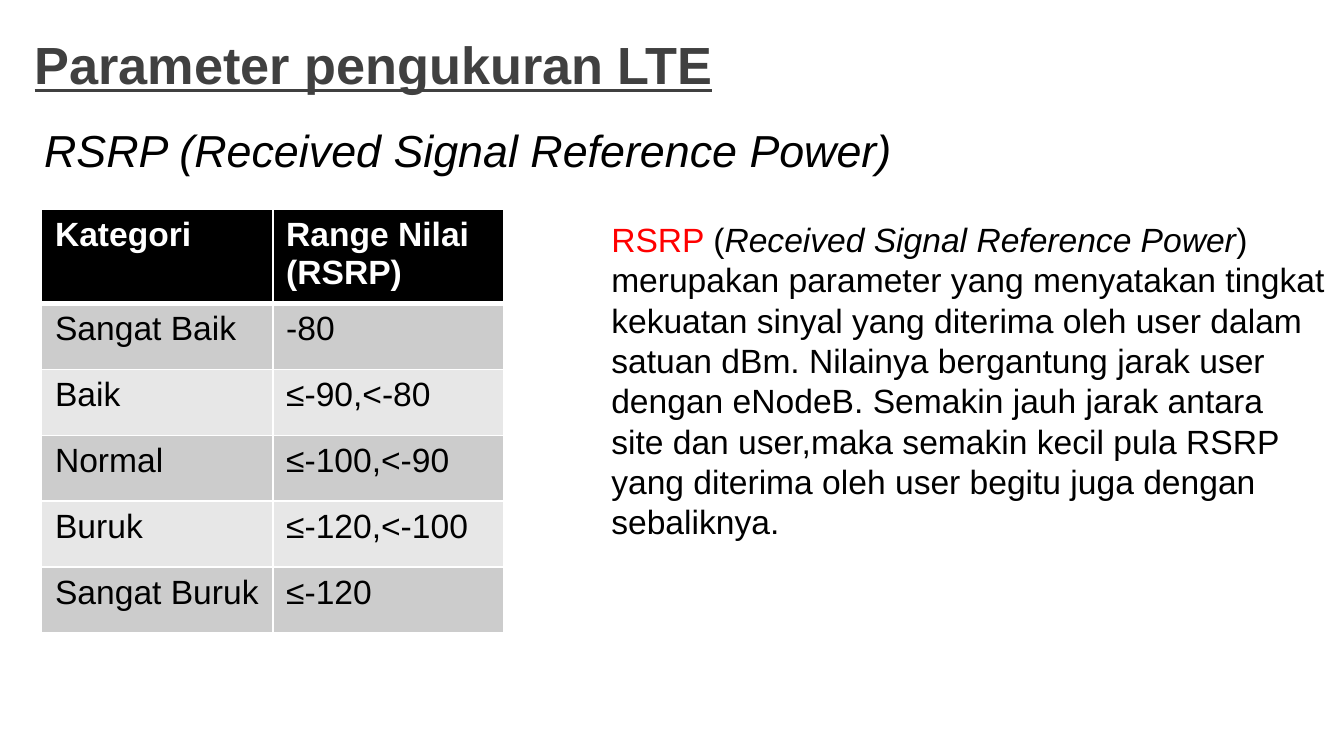
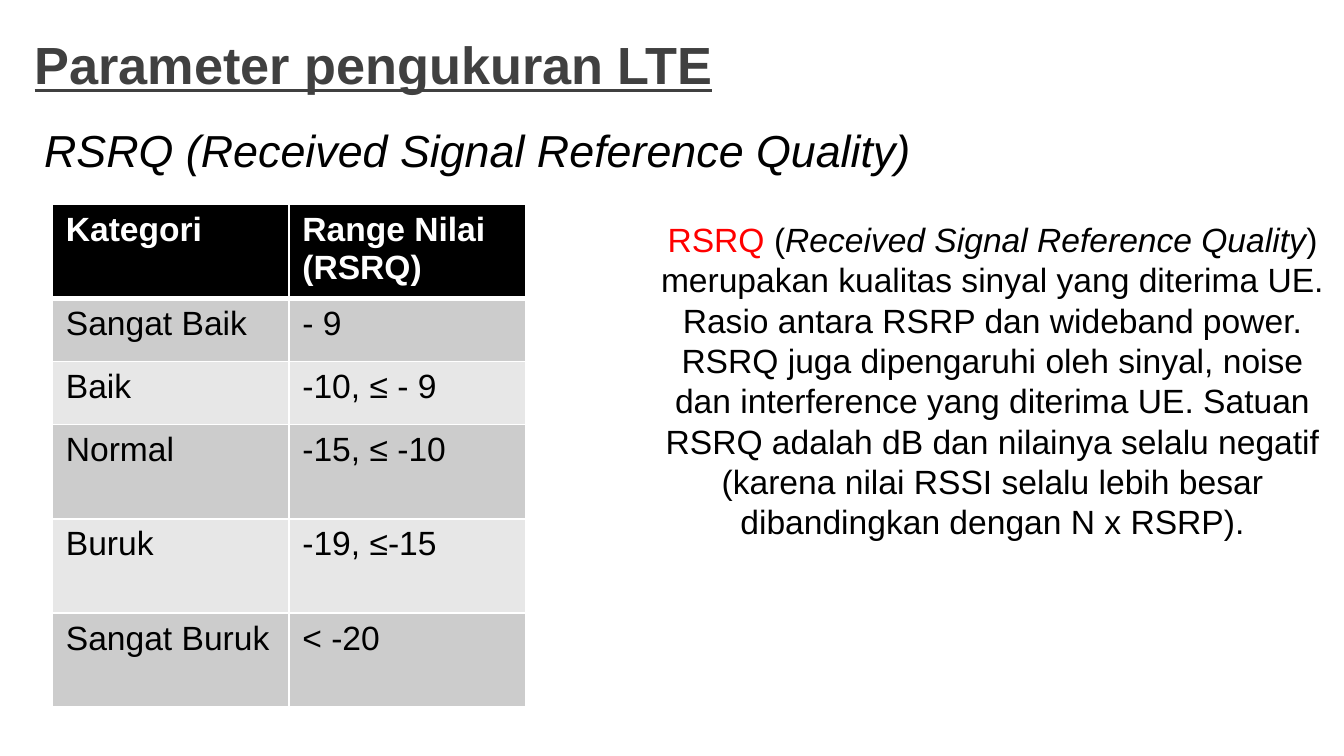
from dataclasses import dataclass

from lxml.etree import SubElement
from pptx import Presentation
from pptx.dml.color import RGBColor
from pptx.enum.text import MSO_ANCHOR, PP_ALIGN
from pptx.oxml.ns import qn
from pptx.util import Inches, Pt


@dataclass(frozen=True)
class Theme:
    font: str = "Arial"
    title: str = "404040"
    ink: str = "000000"
    paper: str = "FFFFFF"
    accent: str = "FF0000"
    bands: tuple = ("CCCCCC", "E7E7E7")
    big: int = 28
    mid: int = 24
    base: int = 18
    thin: int = 1
    thick: int = 3


class Deck:
    def __init__(self, theme):
        self.theme = theme
        self.prs = Presentation()
        self.prs.slide_width = Inches(10)
        self.prs.slide_height = Inches(10) * 9 // 16
        self.slide = None

    def page(self, title, head):
        """Start a slide with its underlined title and italic heading."""
        look = self.theme
        self.slide = self.prs.slides.add_slide(self.prs.slide_layouts[6])
        line = self.box(0.16, 0.16, 8.79, 0.63).paragraphs[0]
        self.run(line, title, look.big, look.title, bold=True, under=True)
        line = self.box(0.23, 0.86, 8.98, 0.5).paragraphs[0]
        self.run(line, head, look.mid, look.ink, slant=True)

    def box(self, left, top, width, height):
        shape = self.slide.shapes.add_textbox(
            Inches(left), Inches(top), Inches(width), Inches(height))
        frame = shape.text_frame
        frame.word_wrap = True
        frame.vertical_anchor = MSO_ANCHOR.MIDDLE
        return frame

    def run(self, line, text, size, color, bold=False, slant=False, under=False):
        run = line.add_run()
        run.text = text
        font = run.font
        font.name = self.theme.font
        font.size = Pt(size)
        font.color.rgb = RGBColor.from_string(color)
        font.bold, font.italic, font.underline = bold, slant, under

    def note(self, left, width, term, name, lines, align=PP_ALIGN.LEFT):
        """Explain a term; the first of the lines follows its name directly."""
        look = self.theme
        frame = self.box(left, 1.56, width, 2.73)
        frame.margin_bottom = Inches(0.24)
        first = frame.paragraphs[0]
        self.run(first, term + " ", look.base, look.accent)
        self.run(first, "(", look.base, look.ink)
        self.run(first, name, look.base, look.ink, slant=True)
        self.run(first, lines[0], look.base, look.ink)
        for text in lines[1:]:
            self.run(frame.add_paragraph(), text, look.base, look.ink)
        for line in frame.paragraphs:
            line.alignment = align

    def table(self, left, top, width, heights, rows):
        grid = self.slide.shapes.add_table(
            len(rows), len(rows[0]), Inches(left), Inches(top),
            Inches(width * len(rows[0])), Inches(sum(heights))).table
        for col in grid.columns:
            col.width = Inches(width)
        for i, (height, row) in enumerate(zip(heights, rows)):
            grid.rows[i].height = Inches(height)
            for j, text in enumerate(row):
                self.cell(grid.cell(i, j), text, i)

    def cell(self, cell, text, row):
        look = self.theme
        head = row == 0
        for side in "LRTB":
            heavy = (row, side) in ((0, "B"), (1, "T"))
            self.edge(cell, side, look.thick if heavy else look.thin)
        cell.fill.solid()
        fill = look.ink if head else look.bands[(row - 1) % 2]
        cell.fill.fore_color.rgb = RGBColor.from_string(fill)
        frame = cell.text_frame
        for k, part in enumerate(text.split("\n")):
            line = frame.add_paragraph() if k else frame.paragraphs[0]
            self.run(line, part, look.base, look.paper if head else look.ink, bold=head)

    def edge(self, cell, side, width):
        props = cell._tc.get_or_add_tcPr()
        line = SubElement(props, qn("a:ln" + side), w=str(Pt(width)))
        fill = SubElement(line, qn("a:solidFill"))
        SubElement(fill, qn("a:srgbClr"), val=self.theme.paper)


TITLE = "Parameter pengukuran LTE"
GRADES = ("Sangat Baik", "Baik", "Normal", "Buruk", "Sangat Buruk")


def grades(term, values):
    return [("Kategori", f"Range Nilai\n({term})"), *zip(GRADES, values)]


def power(deck):
    term, name = "RSRP", "Received Signal Reference Power"
    deck.page(TITLE, f"{term} ({name})")
    deck.note(4.45, 5.55, term, name, [
        ")",
        "merupakan parameter yang menyatakan tingkat",
        "kekuatan sinyal yang diterima oleh user dalam",
        "satuan dBm. Nilainya bergantung jarak user",
        "dengan eNodeB. Semakin jauh jarak antara",
        "site dan user,maka semakin kecil pula RSRP",
        "yang diterima oleh user begitu juga dengan",
        "sebaliknya.",
    ])
    values = ("-80", "≤-90,<-80", "≤-100,<-90", "≤-120,<-100", "≤-120")
    deck.table(0.31, 1.56, 1.72, [0.54] + [0.49] * 5, grades(term, values))


def quality(deck):
    term, name = "RSRQ", "Received Signal Reference Quality"
    deck.page(TITLE, f"{term} ({name})")
    deck.note(4.77, 5.23, term, name, [
        ") merupakan kualitas sinyal yang diterima UE. "
        "Rasio antara RSRP dan wideband power. "
        "RSRQ juga dipengaruhi oleh sinyal, noise "
        "dan interference yang diterima UE. Satuan "
        "RSRQ adalah dB dan nilainya selalu negatif "
        "(karena nilai RSSI selalu lebih besar "
        "dibandingkan dengan N x RSRP).",
    ], PP_ALIGN.CENTER)
    values = ("- 9", "-10, ≤ - 9", "-15, ≤ -10", "-19, ≤-15", "< -20")
    heights = [0.66] + [0.47] * 2 + [0.7] * 3
    deck.table(0.39, 1.52, 1.76, heights, grades(term, values))


def main():
    deck = Deck(Theme())
    power(deck)
    quality(deck)
    deck.prs.save("out.pptx")


if __name__ == "__main__":
    main()
